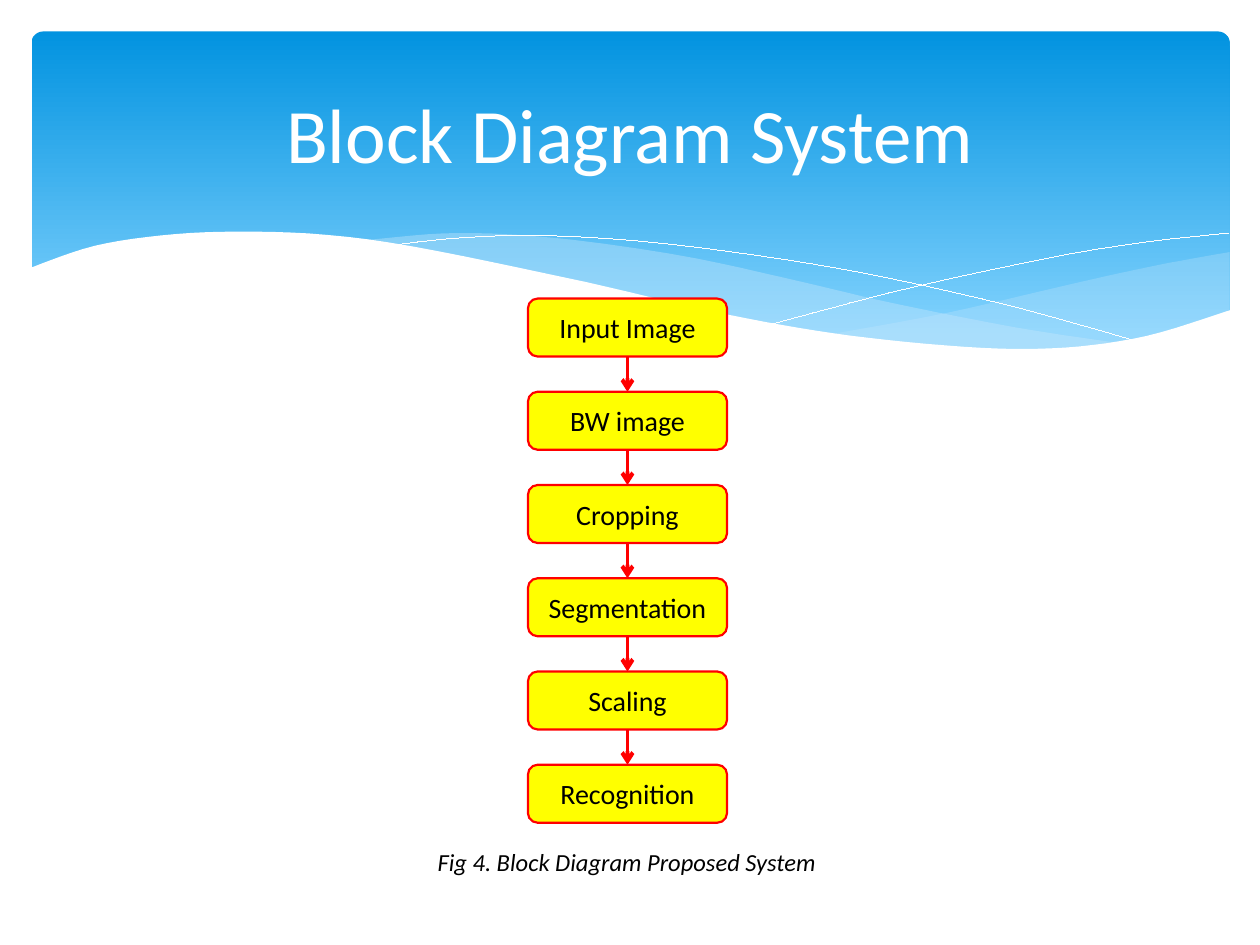
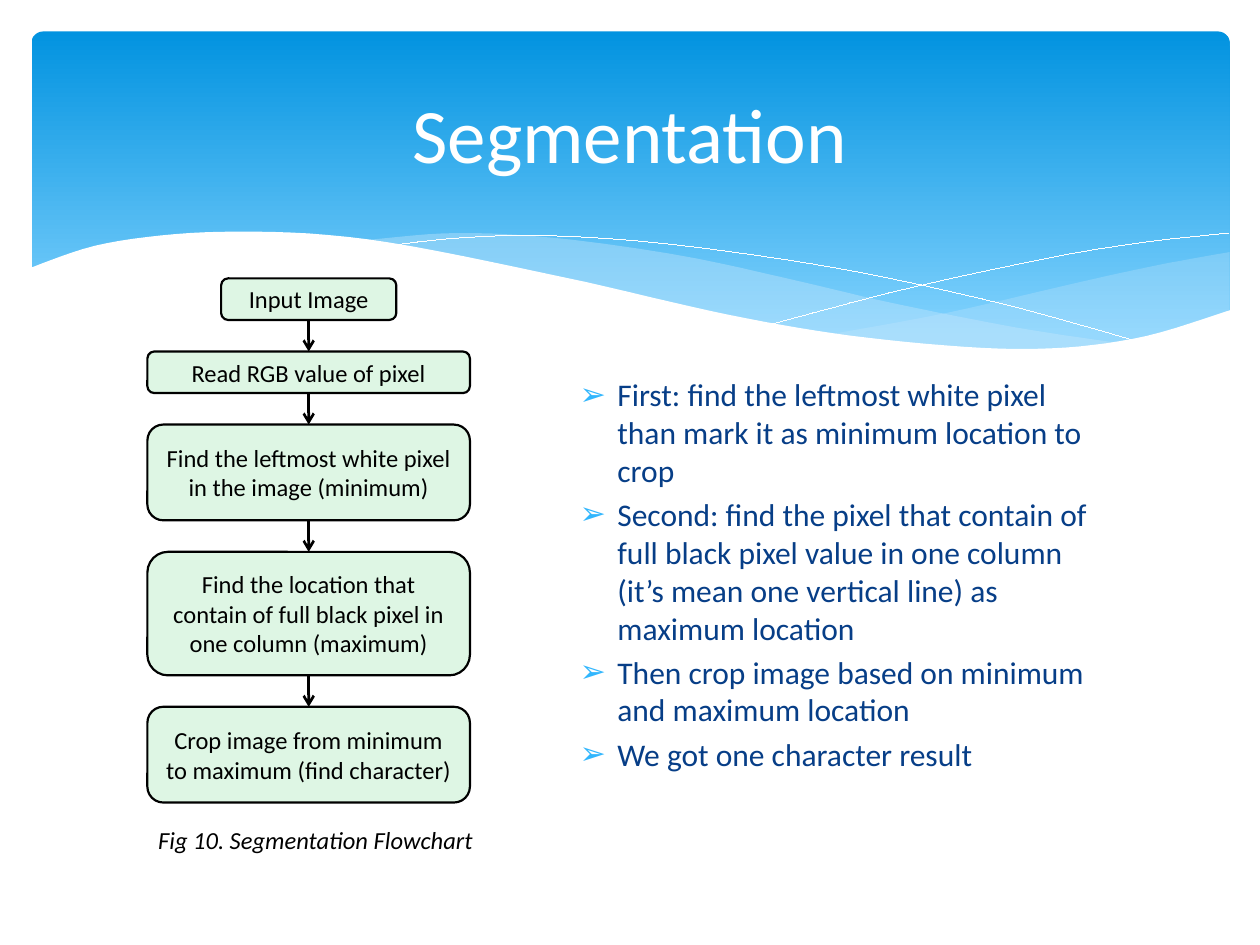
from dataclasses import dataclass
from itertools import pairwise

from lxml.etree import SubElement
from pptx import Presentation
from pptx.dml.color import RGBColor
from pptx.enum.shapes import MSO_CONNECTOR, MSO_SHAPE
from pptx.enum.text import MSO_ANCHOR, PP_ALIGN
from pptx.oxml.ns import qn
from pptx.util import Inches, Pt


@dataclass(frozen=True)
class Theme:
    font: str = "Calibri"
    white: str = "FFFFFF"
    black: str = "000000"
    navy: str = "073E87"
    sky: str = "31B6FD"
    mist: str = "C6E7FC"
    deep: str = "0293E0"
    pale: str = "83D3FE"
    yellow: str = "FFFF00"
    red: str = "FF0000"
    mint: str = "DEF6E4"
    title: int = 44
    body: int = 18
    step: int = 16
    small: int = 14


T = Theme()

# Each step is (text, width, height); lengths are in inches
SLIDES = [
    {
        "title": "Block Diagram System",
        "flow": {
            "steps": [(name, 1.58, 0.46) for name in (
                "Input Image", "BW image", "Cropping",
                "Segmentation", "Scaling", "Recognition")],
            "mid": 4.98, "top": 2.37, "gap": 0.28,
            "fill": T.yellow, "line": T.red, "size": T.step, "weight": 2.25,
        },
        "caption": ("Fig 4. Block Diagram Proposed System", (3.35, 6.67, 3.25, 0.64)),
        "points": [],
    },
    {
        "title": "Segmentation",
        "flow": {
            "steps": [
                ("Input Image", 1.39, 0.33),
                ("Read RGB value of pixel", 2.56, 0.33),
                ("Find the leftmost white pixel in the image (minimum)", 2.56, 0.76),
                ("Find the location that contain of full black pixel in one column (maximum)",
                 2.56, 0.98),
                ("Crop image from minimum to maximum (find character)", 2.56, 0.76),
            ],
            "mid": 2.45, "top": 2.21, "gap": 0.25,
            "fill": T.mint, "line": T.black, "size": T.small, "weight": 1.5,
        },
        "caption": ("Fig 10. Segmentation Flowchart", (0.92, 6.5, 3.17, 0.64)),
        "points": [
            "First: find the leftmost white pixel than mark it as minimum location to crop",
            "Second: find the pixel that contain of full black pixel value in one column "
            "(it’s mean one vertical line) as maximum location",
            "Then crop image based on minimum and maximum location",
            "We got one character result",
        ],
    },
]

# Each wave, back to front: its edges as a few knots to curve through, and its look
WAVES = [
    {"edges": [
        [(6.61, 2.65), (7.53, 2.48), (8.61, 2.23), (9.21, 2.1), (9.76, 2)],
        [(9.76, 2.47), (9.28, 2.63), (8.72, 2.74), (8.03, 2.78), (7.32, 2.74), (6.61, 2.65)]],
     "look": {"fill": T.mist, "alpha": 29}},
    {"edges": [
        [(8.93, 2.73), (8.07, 2.6), (7.06, 2.4), (6.29, 2.22), (5.41, 2.03),
         (4.42, 1.89), (3.61, 1.85), (2.86, 1.91)],
        [(2.86, 1.91), (3.62, 2.03), (4.49, 2.22), (5.66, 2.48), (6.8, 2.68),
         (7.96, 2.78), (8.93, 2.73)]],
     "look": {"fill": T.mist, "alpha": 40}},
    {"edges": [
        [(3.09, 1.95), (3.63, 1.89), (4.33, 1.87), (5.33, 1.94), (6.65, 2.13),
         (7.95, 2.41), (9.07, 2.72)]],
     "look": {"line": T.white}},
    {"edges": [[(6.13, 2.57), (7.2, 2.29), (8.36, 2.04), (9.1, 1.92), (9.75, 1.85)]],
     "look": {"line": T.white}},
    {"edges": [
        [(0.23, 2.13), (0.85, 1.93), (1.77, 1.84), (2.92, 1.9), (4.47, 2.2),
         (5.79, 2.5), (6.88, 2.68), (8.09, 2.77), (8.99, 2.69), (9.77, 2.46)],
        [(9.77, 3.29), (0.23, 3.29)]],
     "look": {"fill": T.white}},
]


def rgb(code):
    return RGBColor.from_string(code)


def tag(parent, name, **attrs):
    """Add an XML child that python-pptx has no call for."""
    return SubElement(parent, qn(name), **attrs)


def place(shape, box):
    for key, val in zip(("left", "top", "width", "height"), box):
        setattr(shape, key, Inches(val))


def write(frame, lines, size, color, **form):
    """Fill a text frame, one paragraph a line, in one format."""
    frame.word_wrap = True
    frame.text = "\n".join(lines)
    form = {"name": T.font, "size": Pt(size), **form}
    for para in frame.paragraphs:
        font = para.runs[0].font
        for key, val in form.items():
            setattr(font, key, val)
        font.color.rgb = rgb(color)


def center(frame):
    frame.vertical_anchor = MSO_ANCHOR.MIDDLE
    for para in frame.paragraphs:
        para.alignment = PP_ALIGN.CENTER


def stroke(shape, color, width):
    """Set colour and width; a width of 0 is kept as a hairline."""
    shape.line.color.rgb = rgb(color)
    line = shape.element.spPr.find(qn("a:ln"))
    line.set("w", str(Pt(width)))
    return line


def paint(shape, fill=None, alpha=None, line=None, width=0):
    shape.shadow.inherit = False
    if fill:
        shape.fill.solid()
        shape.fill.fore_color.rgb = rgb(fill)
    else:
        shape.fill.background()
    if alpha:
        tint = shape.element.spPr.find(".//" + qn("a:srgbClr"))
        tag(tint, "a:alpha", val=str(alpha * 1000))
    if line:
        stroke(shape, line, width)
    else:
        shape.line.fill.background()


def curve(knots, count=8):
    """Return points on a Catmull-Rom curve that passes through the knots."""
    ends = [knots[0], *knots, knots[-1]]
    dots = [knots[0]]
    for four in zip(ends, ends[1:], ends[2:], ends[3:]):
        for t in (n / count for n in range(1, count + 1)):
            dots.append(tuple(
                b + t * (c - a) / 2
                + t ** 2 * (2 * a - 5 * b + 4 * c - d) / 2
                + t ** 3 * (3 * b - a - 3 * c + d) / 2
                for a, b, c, d in zip(*four)))
    return dots


def add_wave(shapes, edges, look):
    unit = 1000  # pen steps to the inch
    dots = [(x * unit, y * unit) for edge in edges for x, y in curve(edge)]
    pen = shapes.build_freeform(*dots[0], scale=Inches(1) / unit)
    pen.add_line_segments(dots[1:], close="fill" in look)
    wave = pen.convert_to_shape()
    paint(wave, **look)
    return wave


def add_panel(shapes):
    panel = shapes.add_shape(MSO_SHAPE.ROUNDED_RECTANGLE, 0, 0, 0, 0)
    place(panel, (0.25, 0.25, 9.51, 2.7))
    panel.adjustments[0] = 0.034
    paint(panel)
    panel.fill.gradient()
    panel.fill.gradient_angle = 270
    for stop, pos, code in zip(panel.fill.gradient_stops, (0, 0.9), (T.deep, T.pale)):
        stop.position = pos
        stop.color.rgb = rgb(code)
    return panel


def add_band(deck, slide):
    """Draw the header band on a slide, then move it to the master, behind all text."""
    parts = [add_panel(slide.shapes)]
    parts += [add_wave(slide.shapes, **wave) for wave in WAVES]
    tree = deck.slide_master.shapes.element
    for spot, part in enumerate(parts, 2):  # the first two children are group data
        tree.insert(spot, part.element)


def add_step(shapes, text, box, flow):
    step = shapes.add_shape(MSO_SHAPE.ROUNDED_RECTANGLE, 0, 0, 0, 0)
    place(step, box)
    paint(step, fill=flow["fill"], line=flow["line"], width=1.25)
    write(step.text_frame, [text], flow["size"], T.black)
    center(step.text_frame)
    return step


def add_arrow(shapes, start, end, flow):
    link = shapes.add_connector(MSO_CONNECTOR.STRAIGHT, 0, 0, 0, 0)
    link.begin_connect(start, 2)
    link.end_connect(end, 0)
    line = stroke(link, flow["line"], flow["weight"])
    tag(line, "a:tailEnd", type="arrow")
    tag(link.element.spPr, "a:effectLst")


def add_flow(shapes, flow):
    """Stack the steps on one centre line and join each to the next."""
    top, steps = flow["top"], []
    for text, wide, high in flow["steps"]:
        box = (flow["mid"] - wide / 2, top, wide, high)
        steps.append(add_step(shapes, text, box, flow))
        top += high + flow["gap"]
    for start, end in pairwise(steps):
        add_arrow(shapes, start, end, flow)


def add_note(shapes, text, box):
    note = shapes.add_textbox(0, 0, 0, 0)
    place(note, box)
    write(note.text_frame, [text], T.small, T.black, italic=True)
    note.text_frame.paragraphs[0].alignment = PP_ALIGN.CENTER


def add_points(body, points):
    place(body, (4.5, 2.93, 4.25, 3.13))
    write(body.text_frame, points, T.body, T.navy)
    hang = Inches(0.3)
    for para in body.text_frame.paragraphs:
        props = para._p.get_or_add_pPr()
        for key, val in {"marL": hang, "indent": -hang}.items():
            props.set(key, str(val))
        tag(tag(props, "a:buClr"), "a:srgbClr", val=T.sky)
        tag(props, "a:buFont", typeface=T.font)
        tag(props, "a:buChar", char="➢")


def add_page(deck, title, flow, caption, points):
    name = "Title and Content" if points else "Title Only"
    slide = deck.slides.add_slide(deck.slide_layouts.get_by_name(name))
    head = slide.shapes.title
    place(head, (0.5, 0.37, 9, 1.37))
    write(head.text_frame, [title], T.title, T.white)
    center(head.text_frame)
    add_flow(slide.shapes, flow)
    add_note(slide.shapes, *caption)
    if points:
        add_points(slide.placeholders[1], points)
    return slide


def main():
    deck = Presentation()
    deck.slide_width, deck.slide_height = Inches(10), Inches(7.5)
    pages = [add_page(deck, **data) for data in SLIDES]
    add_band(deck, pages[0])
    deck.save("out.pptx")


if __name__ == "__main__":
    main()
